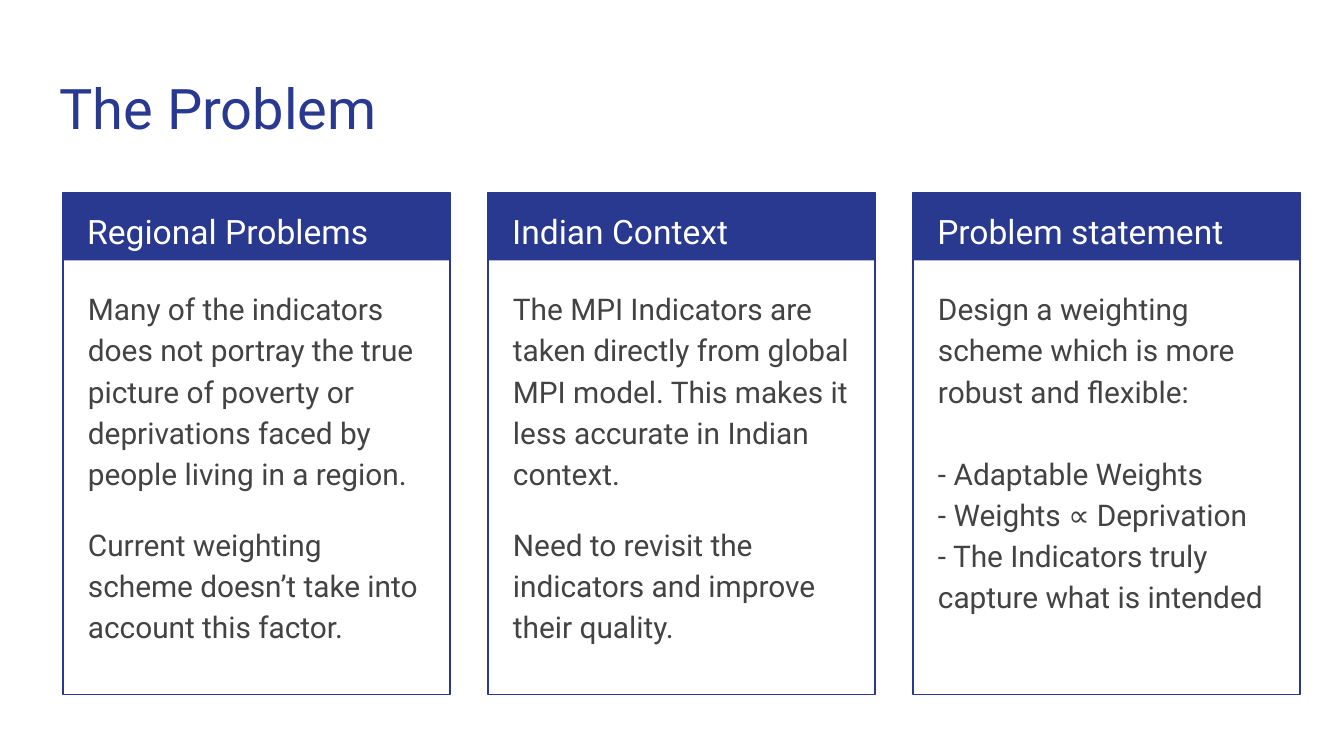
from pptx import Presentation
from pptx.dml.color import RGBColor
from pptx.enum.shapes import MSO_SHAPE as Shape
from pptx.enum.text import MSO_ANCHOR as Anchor, PP_ALIGN as Align
from pptx.util import Emu, Pt

PX = 5715  # 160 px to the inch, so the page is 1600 by 900
FONT = "Roboto"
NAVY, WHITE, GRAY = "2A3990", "FFFFFF", "434343"

# Column grid
LEFT, TOP, STEP = 75, 229, 506
CARD_W, CARD_H, HEADER_H = 461, 598, 81

# Heading, then (text, space before in points) for each paragraph
CARDS = [
    ("Regional Problems", [
        ("Many of the indicators does not portray the true picture of poverty "
         "or deprivations faced by people living in a region.", 0),
        ("Current weighting scheme doesn’t take into account this factor.", 16),
    ]),
    ("Indian Context", [
        ("The MPI Indicators are taken directly from global MPI model. "
         "This makes it less accurate in Indian context.", 0),
        ("Need to revisit the indicators and improve their quality.", 16),
    ]),
    ("Problem statement", [
        ("Design a weighting scheme which is more robust and flexible:", 0),
        ("- Adaptable Weights", 22),
        ("- Weights ∝ Deprivation", 0),
        ("- The Indicators truly capture what is intended", 0),
    ]),
]


def px(*lengths):
    return [Emu(length * PX) for length in lengths]


def color(value):
    return RGBColor.from_string(value)


def add_rect(page, area, fill=None, line=None):
    rect = page.shapes.add_shape(Shape.RECTANGLE, *px(*area))
    rect.shadow.inherit = False
    if fill:
        rect.fill.solid()
        rect.fill.fore_color.rgb = color(fill)
    else:
        rect.fill.background()
    if line:
        rect.line.color.rgb = color(line)
        rect.line.width = Pt(0.75)
    else:
        rect.line.fill.background()


def add_text(page, area, paragraphs, size, ink, spacing=1.15):
    frame = page.shapes.add_textbox(*px(*area)).text_frame
    frame.word_wrap = True
    frame.vertical_anchor = Anchor.TOP
    frame.margin_left, frame.margin_top, frame.margin_right, frame.margin_bottom = px(16, 16, 16, 16)
    for index, (text, before) in enumerate(paragraphs):
        para = frame.add_paragraph() if index else frame.paragraphs[0]
        para.alignment = Align.LEFT
        para.line_spacing = spacing
        if before:
            para.space_before = Pt(before)
        span = para.add_run()
        span.text = text
        span.font.name = FONT
        span.font.size = Pt(size)
        span.font.color.rgb = color(ink)


def add_card(page, left, heading, paragraphs):
    add_rect(page, (left, TOP, CARD_W, HEADER_H), fill=NAVY)
    add_rect(page, (left, TOP, CARD_W, CARD_H), line=NAVY)
    add_text(page, (left + 13, TOP - 1, 437, 80), [(heading, 0)], 18, WHITE)
    add_text(page, (left + 14, TOP + 95, 434, 490), paragraphs, 16, GRAY)


def main():
    deck = Presentation()
    deck.slide_width, deck.slide_height = px(1600, 900)
    page = deck.slides.add_slide(deck.slide_layouts[6])

    # Title
    add_text(page, (55, 72, 1491, 106), [("The Problem", 0)], 30, NAVY, 1.0)

    # Three cards
    for index, (heading, paragraphs) in enumerate(CARDS):
        add_card(page, LEFT + index * STEP, heading, paragraphs)

    deck.save("out.pptx")


if __name__ == "__main__":
    main()
